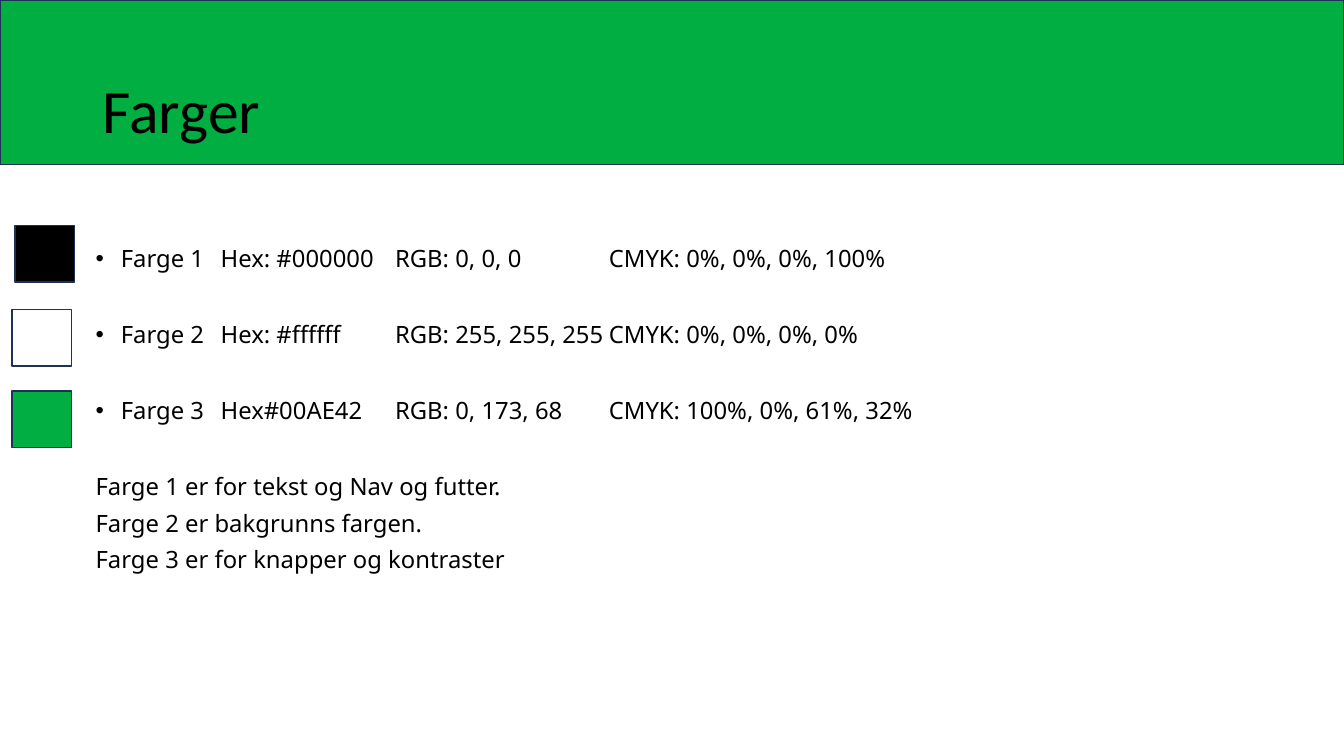
from lxml import etree
from pptx import Presentation
from pptx.dml.color import RGBColor
from pptx.enum import shapes, text
from pptx.oxml.ns import qn
from pptx.util import Inches, Pt

COLORS = {"black": "000000", "white": "FFFFFF", "green": "00AE42", "outline": "1E3256"}
TITLE = "Farger"
SWATCHES = [("black", 0.15, 2.24), ("white", 0.12, 3.07), ("green", 0.12, 3.88)]
COLOR_ROWS = [
    ("Farge 1", "Hex: #000000", "RGB: 0, 0, 0", "CMYK: 0%, 0%, 0%, 100%"),
    ("Farge 2", "Hex: #ffffff", "RGB: 255, 255, 255", "CMYK: 0%, 0%, 0%, 0%"),
    ("Farge 3", "Hex#00AE42", "RGB: 0, 173, 68", "CMYK: 100%, 0%, 61%, 32%"),
]
USES = [
    "Farge 1 er for tekst og Nav og futter.",
    "Farge 2 er bakgrunns fargen.",
    "Farge 3 er for knapper og kontraster",
]
TAB_STOPS = (1.24, 2.97, 5.09)
INDENT = 0.25
ROW_GAP, USE_GAP = 36, 7.6


def rgb(name):
    return RGBColor.from_string(COLORS[name])


def add_box(slide, fill, left, top, width, height):
    sp = slide.shapes.add_shape(
        shapes.MSO_SHAPE.RECTANGLE, Inches(left), Inches(top), Inches(width), Inches(height))
    sp.shadow.inherit = False
    sp.fill.solid()
    sp.fill.fore_color.rgb = rgb(fill)
    sp.line.color.rgb = rgb("outline")
    sp.line.width = Pt(1)


def add_text_frame(slide, left, top, width, height, anchor):
    tf = slide.shapes.add_textbox(
        Inches(left), Inches(top), Inches(width), Inches(height)).text_frame
    tf.word_wrap = True
    tf.vertical_anchor = anchor
    return tf


def write(p, content, font, size, gap=0):
    p.line_spacing = 0.9
    p.space_before = Pt(gap)
    r = p.add_run()
    r.text = content
    r.font.name = font
    r.font.size = Pt(size)
    r.font.color.rgb = rgb("black")


def add_bullet_and_tabs(p):
    pPr = p._p.get_or_add_pPr()
    pPr.set("marL", str(Inches(INDENT)))
    pPr.set("indent", str(-Inches(INDENT)))
    etree.SubElement(pPr, qn("a:buFont"), typeface="Arial")
    etree.SubElement(pPr, qn("a:buChar"), char="•")
    tabs = etree.SubElement(pPr, qn("a:tabLst"))
    for stop in TAB_STOPS:
        etree.SubElement(tabs, qn("a:tab"), pos=str(Inches(stop)), algn="l")


def main():
    prs = Presentation()
    prs.slide_width, prs.slide_height = Inches(13.33), Inches(7.5)
    slide = prs.slides.add_slide(prs.slide_layouts[6])

    add_box(slide, "green", 0, 0, 13.33, 1.63)
    tf = add_text_frame(slide, 0.92, 0.4, 11.5, 1.45, text.MSO_ANCHOR.MIDDLE)
    write(tf.paragraphs[0], TITLE, "Calibri", 44)

    tf = add_text_frame(slide, 0.85, 2.4, 11.5, 4.36, text.MSO_ANCHOR.TOP)
    for i, row in enumerate(COLOR_ROWS):
        p = tf.add_paragraph() if i else tf.paragraphs[0]
        write(p, "\t".join(row), "Noto Sans", 17, ROW_GAP if i else 0)
        add_bullet_and_tabs(p)
    for i, use in enumerate(USES):
        write(tf.add_paragraph(), use, "Noto Sans", 17, USE_GAP if i else ROW_GAP)

    for color, left, top in SWATCHES:
        add_box(slide, color, left, top, 0.59, 0.56)
    prs.save("out.pptx")


if __name__ == "__main__":
    main()
